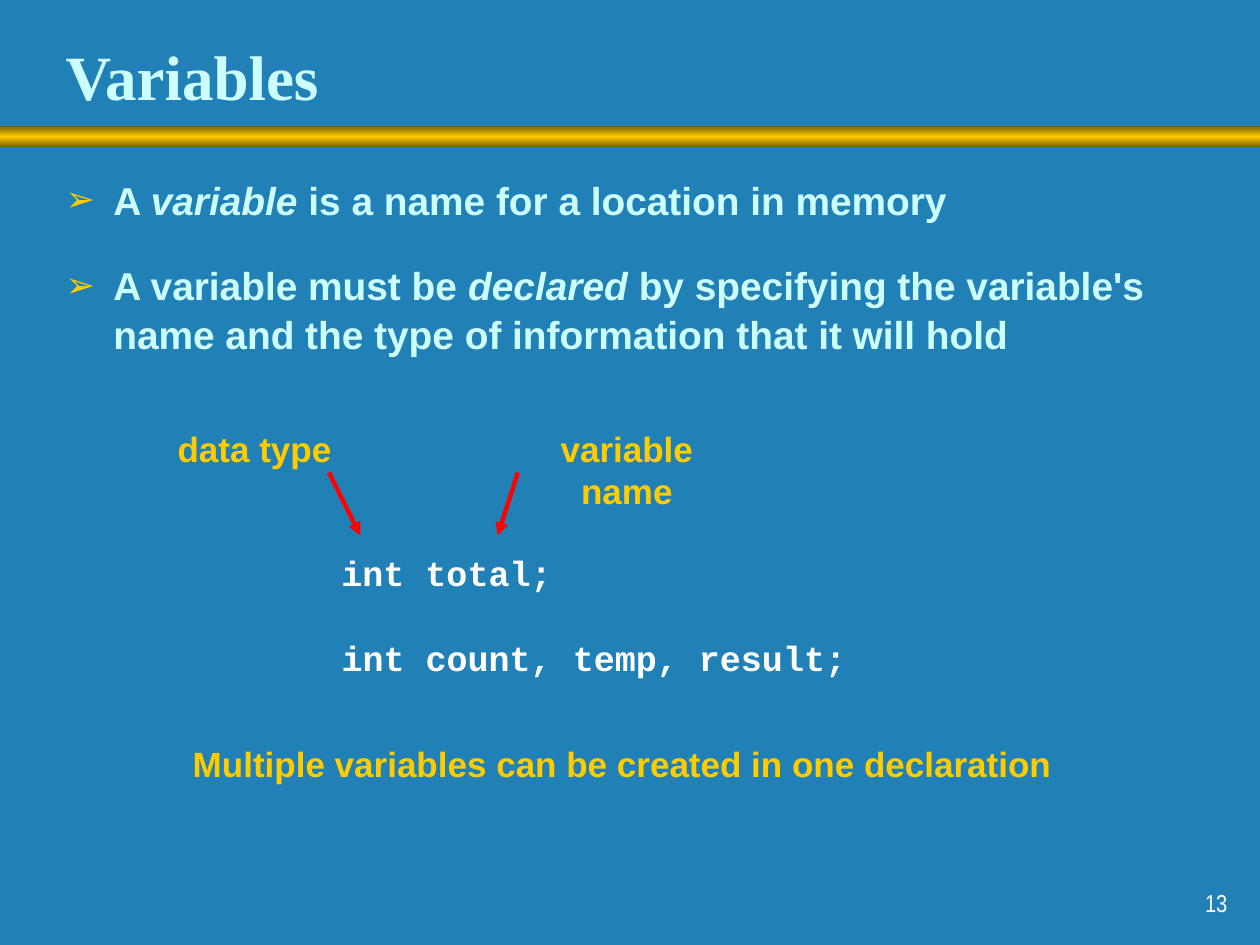
import copy
from dataclasses import dataclass

import pptx
import pptx.dml.color
import pptx.enum.shapes
import pptx.enum.text
import pptx.oxml
import pptx.oxml.ns
import pptx.util
from pptx.util import Inches

ALIGN = pptx.enum.text.PP_ALIGN
ANCHOR = pptx.enum.text.MSO_ANCHOR
AUTO_SIZE = pptx.enum.text.MSO_AUTO_SIZE


@dataclass(frozen=True)
class Theme:
    background: str = "2181B7"
    pale: str = "CCFFFF"
    gold: str = "FFCC00"
    dark_gold: str = "755E00"
    white: str = "FFFFFF"
    red: str = "FF0000"
    heading_font: str = "Times New Roman"
    body_font: str = "Arial"
    code_font: str = "Courier New"
    number_font: str = "Arial Narrow"
    title_size: float = 36
    body_size: float = 22.2
    label_size: float = 20
    number_size: float = 14


THEME = Theme()


def color(code):
    return pptx.dml.color.RGBColor.from_string(code)


def xml(markup):
    namespace = pptx.oxml.ns.nsdecls("a")
    return pptx.oxml.parse_xml(markup.replace("/>", f" {namespace}/>", 1))


def write_text(para, *parts, size=THEME.label_size, font=THEME.body_font,
               fill=THEME.gold, bold=True, align=ALIGN.LEFT):
    """Write the parts as spans; every second part is italic."""
    para.alignment = align
    for index, part in enumerate(parts):
        span = para.add_run()
        span.text = part
        span.font.size = pptx.util.Pt(size)
        span.font.name = font
        span.font.bold = bold
        span.font.italic = index % 2 == 1
        span.font.color.rgb = color(fill)


def place(shape, left, top, width, height):
    shape.left, shape.top = Inches(left), Inches(top)
    shape.width, shape.height = Inches(width), Inches(height)


def add_title(page, text):
    title = page.shapes.title
    place(title, 0.42, 0.22, 8.55, 0.75)
    frame = title.text_frame
    frame.auto_size = AUTO_SIZE.NONE
    frame.vertical_anchor = ANCHOR.MIDDLE
    write_text(frame.paragraphs[0], text, size=THEME.title_size,
               font=THEME.heading_font, fill=THEME.pale)


def set_bullet(para):
    properties = para._p.get_or_add_pPr()
    properties.set("marL", str(Inches(0.38)))
    properties.set("indent", str(-Inches(0.38)))
    bullet_color = xml("<a:buClr/>")
    bullet_color.append(xml(f'<a:srgbClr val="{THEME.gold}"/>'))
    properties.append(bullet_color)
    properties.append(xml('<a:buSzPct val="90000"/>'))
    properties.append(xml('<a:buChar char="➢"/>'))


def add_bullets(page, items):
    body = page.placeholders[1]
    place(body, 0.42, 1.33, 9.08, 1.83)
    frame = body.text_frame
    frame.auto_size = AUTO_SIZE.NONE
    for index, parts in enumerate(items):
        para = frame.add_paragraph() if index else frame.paragraphs[0]
        para.space_before = pptx.util.Pt(21)
        para.line_spacing = 1.05
        set_bullet(para)
        write_text(para, *parts, size=THEME.body_size, fill=THEME.pale)


def add_band(page):
    """Draw the gold band, dark at both edges, below the title."""
    band = page.shapes.add_shape(pptx.enum.shapes.MSO_SHAPE.RECTANGLE,
                                 Inches(0), Inches(1), Inches(10), Inches(0.17))
    band.shadow.inherit = False
    band.line.fill.background()
    band.fill.gradient()
    band.fill.gradient_angle = 90
    first = band.fill.gradient_stops[0]._gs
    first.addnext(copy.deepcopy(first))
    shades = (THEME.dark_gold, THEME.gold, THEME.dark_gold)
    for stop, position, shade in zip(band.fill.gradient_stops, (0, 0.5, 1), shades):
        stop.position = position
        stop.color.rgb = color(shade)


def add_label(shapes, text, left, top, width, font=THEME.body_font,
              fill=THEME.gold):
    box = shapes.add_textbox(Inches(left), Inches(top), Inches(width), Inches(0.44))
    box.text_frame.word_wrap = False
    box.text_frame.auto_size = AUTO_SIZE.SHAPE_TO_FIT_TEXT
    write_text(box.text_frame.paragraphs[0], text, font=font, fill=fill,
               align=ALIGN.CENTER)


def add_arrow(shapes, start, end):
    arrow = shapes.add_connector(pptx.enum.shapes.MSO_CONNECTOR.STRAIGHT,
                                 *map(Inches, start + end))
    arrow.line.color.rgb = color(THEME.red)
    arrow.line.width = pptx.util.Pt(2.5)
    arrow.line._get_or_add_ln().append(xml('<a:tailEnd type="triangle"/>'))
    arrow._element.spPr.append(xml("<a:effectLst/>"))


def add_callout(page, text, left, width, start_x, end_x):
    """Group a label with the arrow from it down to the code."""
    group = page.shapes.add_group_shape()
    add_label(group.shapes, text, left, 3.34, width)
    add_arrow(group.shapes, (start_x, 3.75), (end_x, 4.25))


def add_page_number(page, number):
    box = page.shapes.add_textbox(Inches(7.76), Inches(6.83),
                                  Inches(2.08), Inches(0.5))
    box.text_frame.word_wrap = True
    box.text_frame.vertical_anchor = ANCHOR.BOTTOM
    write_text(box.text_frame.paragraphs[0], number, size=THEME.number_size,
               font=THEME.number_font, fill=THEME.white, bold=False,
               align=ALIGN.RIGHT)


def main():
    deck = pptx.Presentation()
    deck.slide_width, deck.slide_height = Inches(10), Inches(7.5)
    page = deck.slides.add_slide(deck.slide_layouts[1])
    page.background.fill.solid()
    page.background.fill.fore_color.rgb = color(THEME.background)

    add_band(page)
    add_title(page, "Variables")
    add_bullets(page, [
        ("A ", "variable", " is a name for a location in memory"),
        ("A variable must be ", "declared", " by specifying the variable's "
         "name and the type of information that it will hold"),
    ])
    for code, top, width in (("int total;", 4.33, 1.87),
                             ("int count, temp, result;", 5, 4.21)):
        add_label(page.shapes, code, 2.61, top, width,
                  font=THEME.code_font, fill=THEME.white)
    add_label(page.shapes, "Multiple variables can be created in one declaration",
              1.43, 5.84, 7.02)
    add_callout(page, "data type", 1.31, 1.42, start_x=2.61, end_x=2.86)
    add_callout(page, "variable name", 3.95, 2.05, start_x=4.11, end_x=3.95)
    add_page_number(page, "13")
    deck.save("out.pptx")


if __name__ == "__main__":
    main()
